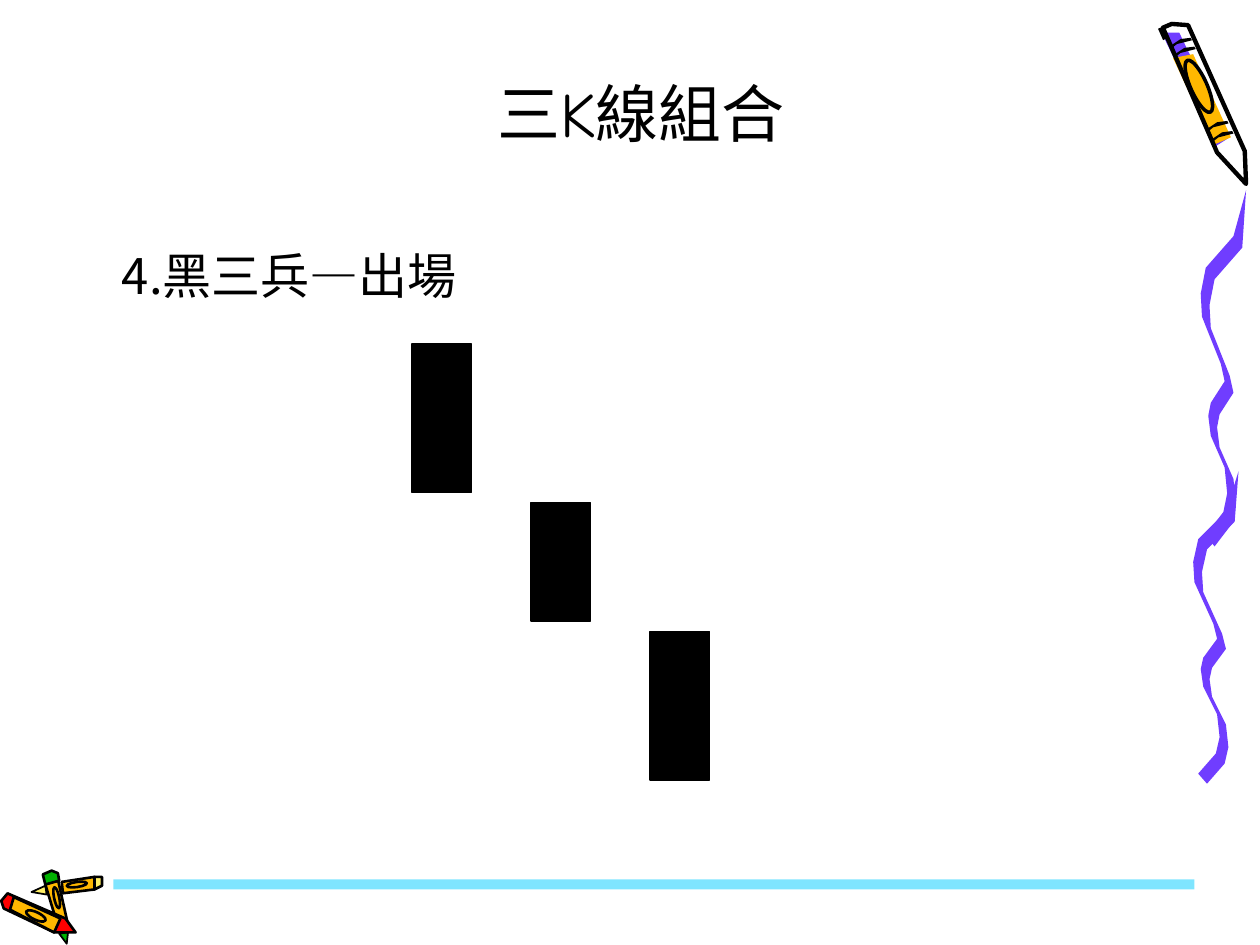
from lxml import etree
from pptx import Presentation
from pptx.dml.color import RGBColor
from pptx.enum.shapes import MSO_CONNECTOR, MSO_SHAPE
from pptx.enum.text import MSO_ANCHOR, MSO_AUTO_SIZE, PP_ALIGN
from pptx.oxml.ns import qn
from pptx.util import Inches, Pt

RECTANGLE, OVAL = MSO_SHAPE.RECTANGLE, MSO_SHAPE.OVAL
STRAIGHT = MSO_CONNECTOR.STRAIGHT
BOTTOM, TOP = MSO_ANCHOR.BOTTOM, MSO_ANCHOR.TOP
CENTER, LEFT = PP_ALIGN.CENTER, PP_ALIGN.LEFT
NO_FIT, GROW = MSO_AUTO_SIZE.NONE, MSO_AUTO_SIZE.SHAPE_TO_FIT_TEXT

BLACK = RGBColor(0x00, 0x00, 0x00)
PURPLE = RGBColor(0x70, 0x3D, 0xFF)
ORANGE = RGBColor(0xFF, 0xB8, 0x00)
YELLOW = RGBColor(0xFF, 0xEF, 0x66)
RED = RGBColor(0xFF, 0x00, 0x00)
GREEN = RGBColor(0x00, 0xB2, 0x00)
CYAN = RGBColor(0x00, 0xCC, 0xFF)

LATIN_FONT, CJK_FONT = "Comic Neue", "Noto Sans CJK SC"

TEXTS = [
    ("4.黑三兵—出場", (0.87, 1.9, 4.8, 0.57), CJK_FONT, 28, LEFT,
     {"word_wrap": True, "auto_size": GROW, "vertical_anchor": TOP}),
    ("三K線組合", (1.18, -0.01, 7.82, 1.25), LATIN_FONT, 36, CENTER,
     {"word_wrap": True, "auto_size": NO_FIT, "vertical_anchor": BOTTOM}),
]
CANDLE_LEFT, CANDLE_STEP, CANDLE_WIDTH = 3.27, 0.945, 0.47
CANDLE_SPANS = [(2.73, 1.18), (3.99, 0.94), (5.01, 1.18)]
FLOOR_BAR = (0.9, 6.98, 8.58, 0.08)

CRAYON = [
    (PURPLE, 0, [(9.22, 0.26), (9.65, 1.16), (9.76, 1.09), (9.36, 0.26)]),
    (ORANGE, 0, [(9.31, 0.46), (9.63, 1.15), (9.77, 1.09), (9.47, 0.43)]),
    (None, 2.5, [(9.23, 0.22), (9.66, 1.21), (9.89, 1.46), (9.88, 1.2), (9.43, 0.2), (9.3, 0.19)]),
]
CRAYON_EYE = (9.45, 0.46, 0.13, 0.45, -24)
CRAYON_CAP = (9.21, 0.22, 9.25, 0.31)
BAND = [(9.62, 1.13), (9.67, 1.09), (9.79, 1.06), (9.78, 1.04), (9.7, 1.05), (9.61, 1.11)]
BAND_OFFSETS = [(0, 0), (-0.04, -0.08), (-0.3, -0.67), (-0.33, -0.74)]

PILE = [
    (YELLOW, 1, [(0.25, 7.08), (0.36, 7.03), (0.37, 7.1)]),
    (ORANGE, 1.5, [(0.49, 7), (0.75, 6.96), (0.75, 7.06), (0.5, 7.09)]),
    (YELLOW, 1.5, [(0.75, 6.96), (0.81, 6.96), (0.81, 7.03), (0.75, 7.06)]),
    (ORANGE, 1.5, [(0.36, 7.02), (0.46, 6.98), (0.54, 7.34), (0.43, 7.25)]),
    (GREEN, 1.5, [(0.34, 6.94), (0.41, 6.91), (0.46, 6.93), (0.47, 6.99), (0.36, 7.02)]),
    (GREEN, 1, [(0.47, 7.41), (0.54, 7.4), (0.53, 7.49)]),
    (RED, 1.5, [(0.06, 7.09), (0.52, 7.29), (0.6, 7.4), (0.43, 7.4), (0.03, 7.21), (0.01, 7.15)]),
    (ORANGE, 1.5, [(0.11, 7.12), (0.48, 7.29), (0.43, 7.4), (0.08, 7.22)]),
]
PILE_EYES = [(0.53, 7, 0.16, 0.04, -8), (0.43, 7.04, 0.04, 0.17, -12), (0.2, 7.24, 0.17, 0.06, 25)]

RIBBON_EDGE = [
    (9.73, 4.06), (9.51, 4.28), (9.47, 4.46), (9.48, 4.62), (9.63, 4.95), (9.66, 5.07),
    (9.55, 5.22), (9.53, 5.31), (9.55, 5.45), (9.66, 5.67), (9.68, 5.85), (9.65, 5.98), (9.51, 6.14)]
RIBBON_TIP = (9.83, 3.74)
RIBBON_THICKNESS = (0.07, 0.08)
UPPER_SHIFT, UPPER_TOP, UPPER_STRETCH = 0.06, 1.51, 1.14


def shifted(points, offset):
    return [(x + offset[0], y + offset[1]) for x, y in points]


def paint(shape, fill, width):
    shape.shadow.inherit = False
    if fill is None:
        shape.fill.background()
    else:
        shape.fill.solid()
        shape.fill.fore_color.rgb = fill
    if width:
        shape.line.color.rgb = BLACK
        shape.line.width = Pt(width)
    else:
        shape.line.fill.background()


def draw_outlines(shapes, outlines):
    for fill, width, points in outlines:
        corners = [(Inches(x), Inches(y)) for x, y in points]
        builder = shapes.build_freeform(*corners[0])
        builder.add_line_segments(corners[1:], close=True)
        paint(builder.convert_to_shape(), fill, width)


def draw_preset(shapes, kind, place, fill, width, angle=0):
    box = shapes.add_shape(kind, *map(Inches, place))
    box.rotation = angle
    paint(box, fill, width)
    return box


def draw_text(page, text, place, font, size, alignment, frame_format):
    frame = page.shapes.add_textbox(*map(Inches, place)).text_frame
    for name, value in frame_format.items():
        setattr(frame, name, value)
    para = frame.paragraphs[0]
    para.alignment = alignment
    span = para.add_run()
    span.text = text
    for name, value in {"name": font, "size": Pt(size)}.items():
        setattr(span.font, name, value)
    span.font.color.rgb = BLACK
    etree.SubElement(span.font._element, qn("a:ea"), typeface=CJK_FONT)


def main():
    deck = Presentation()
    deck.slide_width, deck.slide_height = Inches(10), Inches(7.5)
    page = deck.slides.add_slide(deck.slide_layouts[6])

    pile = page.shapes.add_group_shape().shapes
    draw_outlines(pile, PILE)
    for *place, angle in PILE_EYES:
        draw_preset(pile, OVAL, place, None, 1.5, angle)

    lower = [RIBBON_TIP] + RIBBON_EDGE + shifted(RIBBON_EDGE, RIBBON_THICKNESS)[::-1]
    upper = [(x + UPPER_SHIFT, UPPER_TOP + (y - RIBBON_TIP[1]) * UPPER_STRETCH) for x, y in lower]
    ribbon = page.shapes.add_group_shape().shapes
    draw_outlines(ribbon, [(PURPLE, 0, lower), (PURPLE, 0, upper)])

    crayon = page.shapes.add_group_shape().shapes
    draw_outlines(crayon, CRAYON)
    draw_outlines(crayon, [(BLACK, 0, shifted(BAND, offset)) for offset in BAND_OFFSETS])
    *place, angle = CRAYON_EYE
    draw_preset(crayon, OVAL, place, None, 2, angle)
    cap = crayon.add_connector(STRAIGHT, *map(Inches, CRAYON_CAP))
    cap.line.color.rgb = BLACK
    cap.line.width = Pt(3)
    etree.SubElement(cap._element.spPr, qn("a:effectLst"))

    bar = draw_preset(page.shapes, RECTANGLE, FLOOR_BAR, CYAN, 0)
    bar_color = bar._element.spPr.find(qn("a:solidFill"))[0]
    etree.SubElement(bar_color, qn("a:alpha"), val="50000")

    for text in TEXTS:
        draw_text(page, *text)
    for index, (top, height) in enumerate(CANDLE_SPANS):
        left = CANDLE_LEFT + index * CANDLE_STEP
        draw_preset(page.shapes, RECTANGLE, (left, top, CANDLE_WIDTH, height), BLACK, 0.75)

    deck.save("out.pptx")


if __name__ == "__main__":
    main()
